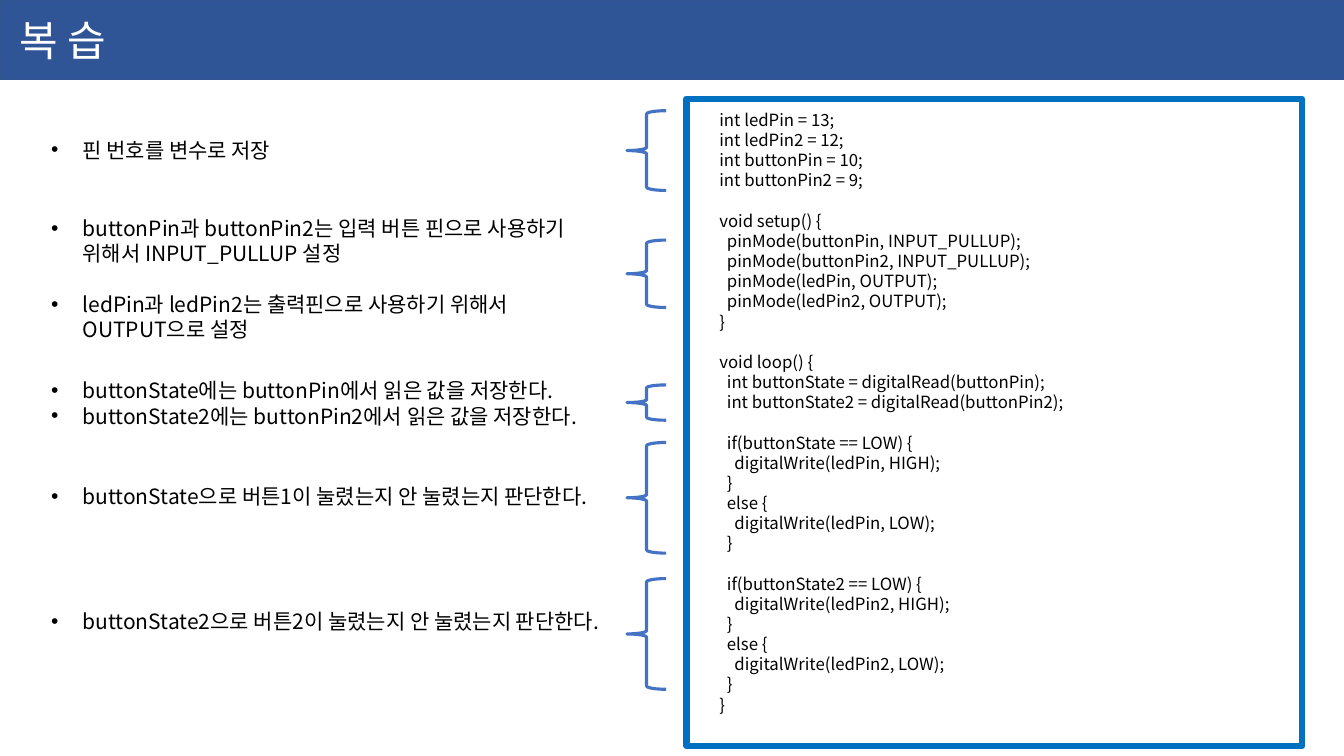
from dataclasses import dataclass

import pptx
import pptx.dml.color
import pptx.enum.shapes
import pptx.enum.text
import pptx.oxml
import pptx.oxml.ns
import pptx.util
from pptx.util import Cm


@dataclass(frozen=True)
class Theme:
    font: str = "Noto Sans CJK KR"
    header: str = "2F5597"
    header_line: str = "325491"
    brace: str = "4472C4"
    frame: str = "0070C0"
    ink: str = "000000"
    paper: str = "FFFFFF"
    title_size: float = 30
    note_size: float = 15
    code_size: float = 12
    leading: float = 1.2


THEME = Theme()

# Explanations: top, height in cm, bullet texts, gap between bullets in lines
NOTES = [
    (3.33, 0.9, ["핀 번호를 변수로 저장"], 0),
    (5.31, 3.45, ["buttonPin과 buttonPin2는 입력 버튼 핀으로 사용하기 위해서 INPUT_PULLUP 설정",
                  "ledPin과 ledPin2는 출력핀으로 사용하기 위해서 OUTPUT으로 설정"], 1),
    (9.4, 1.55, ["buttonState에는 buttonPin에서 읽은 값을 저장한다.",
                 "buttonState2에는 buttonPin2에서 읽은 값을 저장한다."], 0),
    (12.06, 1.55, ["buttonState으로 버튼1이 눌렸는지 안 눌렸는지 판단한다."], 0),
    (15.21, 1.55, ["buttonState2으로 버튼2이 눌렸는지 안 눌렸는지 판단한다."], 0),
]

# Braces: top and height in cm
BRACES = [(2.79, 2.01), (6.05, 1.7), (9.7, 0.89), (11.15, 2.79), (14.58, 2.79)]


def button_check(suffix):
    return [(1, f"if(buttonState{suffix} == LOW) {{"),
            (2, f"digitalWrite(ledPin{suffix}, HIGH);"),
            (1, "}"),
            (1, "else {"),
            (2, f"digitalWrite(ledPin{suffix}, LOW);"),
            (1, "}")]


# Code blocks, one line apart: indent level and text
CODE = [
    [(0, "int ledPin = 13;"), (0, "int ledPin2 = 12;"),
     (0, "int buttonPin = 10;"), (0, "int buttonPin2 = 9;")],
    [(0, "void setup() {"),
     (1, "pinMode(buttonPin, INPUT_PULLUP);"),
     (1, "pinMode(buttonPin2, INPUT_PULLUP);"),
     (1, "pinMode(ledPin, OUTPUT);"),
     (1, "pinMode(ledPin2, OUTPUT);"),
     (0, "}")],
    [(0, "void loop() {"),
     (1, "int buttonState = digitalRead(buttonPin);"),
     (1, "int buttonState2 = digitalRead(buttonPin2);")],
    button_check(""),
    button_check("2") + [(0, "}")],
]


def rgb(value):
    return pptx.dml.color.RGBColor.from_string(value)


def add_run(paragraph, text, size, color):
    run = paragraph.add_run()
    run.text = text
    run.font.name = THEME.font
    run.font.size = pptx.util.Pt(size)
    run.font.color.rgb = rgb(color)
    east_asian = pptx.oxml.parse_xml(
        f'<a:ea {pptx.oxml.ns.nsdecls("a")} typeface="{THEME.font}"/>')
    run.font._element.find(pptx.oxml.ns.qn("a:latin")).addnext(east_asian)


def add_line(paragraph, text, size, lines_before=0):
    leading = size * THEME.leading
    paragraph.line_spacing = pptx.util.Pt(leading)
    paragraph.space_before = pptx.util.Pt(leading * lines_before)
    add_run(paragraph, text, size, THEME.ink)


def set_indent(paragraph, left, first=0):
    properties = paragraph._p.get_or_add_pPr()
    properties.set("marL", str(left))
    properties.set("indent", str(first))
    return properties


def add_bullet(paragraph):
    properties = set_indent(paragraph, Cm(0.79), -Cm(0.79))
    for tag, attribute in (("buFont", 'typeface="Arial"'), ("buChar", 'char="•"')):
        properties.append(pptx.oxml.parse_xml(
            f'<a:{tag} {pptx.oxml.ns.nsdecls("a")} {attribute}/>'))


def add_text_frame(slide, left, top, width, height):
    frame = slide.shapes.add_textbox(Cm(left), Cm(top), Cm(width), Cm(height)).text_frame
    frame.word_wrap = True
    return frame


def next_paragraph(frame, index):
    return frame.add_paragraph() if index else frame.paragraphs[0]


def add_outline(slide, kind, left, top, width, height, color, weight):
    outline = slide.shapes.add_shape(kind, Cm(left), Cm(top), Cm(width), Cm(height))
    outline.shadow.inherit = False
    outline.fill.background()
    outline.line.color.rgb = rgb(color)
    outline.line.width = pptx.util.Pt(weight)


def add_header(slide, text, width):
    header = slide.shapes.title
    header.left, header.top, header.width, header.height = 0, 0, width, Cm(2.01)
    header.fill.solid()
    header.fill.fore_color.rgb = rgb(THEME.header)
    header.line.color.rgb = rgb(THEME.header_line)
    header.line.width = pptx.util.Pt(1)
    frame = header.text_frame
    frame.auto_size = pptx.enum.text.MSO_AUTO_SIZE.NONE
    frame.vertical_anchor = pptx.enum.text.MSO_ANCHOR.MIDDLE
    frame.margin_left = Cm(0.5)
    frame.paragraphs[0].alignment = pptx.enum.text.PP_ALIGN.LEFT
    add_run(frame.paragraphs[0], text, THEME.title_size, THEME.paper)


def add_note(slide, top, height, bullets, gap):
    frame = add_text_frame(slide, 1.04, top, 14.25, height)
    for index, text in enumerate(bullets):
        paragraph = next_paragraph(frame, index)
        add_line(paragraph, text, THEME.note_size, gap if index else 0)
        add_bullet(paragraph)


def add_code(slide):
    frame = add_text_frame(slide, 17.88, 2.64, 14.94, 16.15)
    for block_index, block in enumerate(CODE):
        for line_index, (level, text) in enumerate(block):
            paragraph = next_paragraph(frame, block_index + line_index)
            starts_block = block_index > 0 and line_index == 0
            add_line(paragraph, text, THEME.code_size, int(starts_block))
            set_indent(paragraph, Cm(0.19) * level)


def main():
    presentation = pptx.Presentation()
    presentation.slide_width, presentation.slide_height = Cm(33.87), Cm(19.05)
    slide = presentation.slides.add_slide(presentation.slide_layouts[5])
    shapes = pptx.enum.shapes.MSO_SHAPE

    # Header bar
    add_header(slide, "복 습", presentation.slide_width)

    # Explanations and the braces that tie them to the code
    for top, height in BRACES:
        add_outline(slide, shapes.LEFT_BRACE, 15.8, top, 0.99, height, THEME.brace, 2.25)
    for note in NOTES:
        add_note(slide, *note)

    # Framed program
    add_code(slide)
    add_outline(slide, shapes.RECTANGLE, 17.3, 2.49, 15.52, 16.31, THEME.frame, 4.5)

    presentation.save("out.pptx")


if __name__ == "__main__":
    main()
